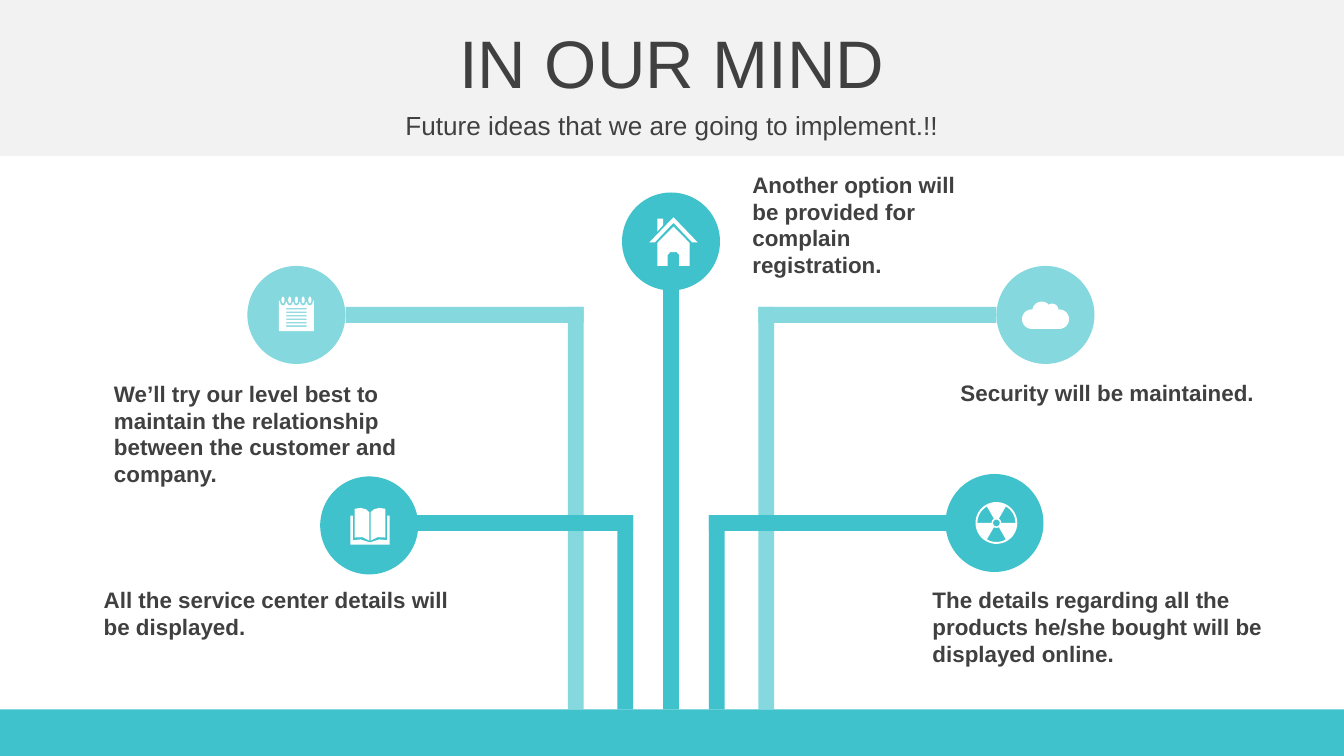
from dataclasses import dataclass
from math import cos, radians, sin

from pptx import Presentation
from pptx import util as u
from pptx.dml.color import RGBColor
from pptx.enum import shapes, text

Pt = u.Pt


@dataclass(frozen=True)
class Theme:
    font: str = "Arial"
    ink: str = "404040"
    header: str = "F2F2F2"
    teal: str = "3FC2CB"
    pale: str = "85D8DE"
    white: str = "FFFFFF"
    title: float = 36
    subtitle: float = 14
    body: float = 12


def arc(cx, cy, r, start, end, ry=None):
    steps = max(6, abs(end - start) // 8)
    angles = [radians(start + (end - start) * i / steps) for i in range(steps + 1)]
    return [(cx + r * cos(a), cy + (ry or r) * sin(a)) for a in angles]


def box(x, y, w, h):
    return [(x, y), (x + w, y), (x + w, y + h), (x, y + h)]


def mirror(points):
    return [(-x, y) for x, y in points]


class Deck:
    def __init__(self, prs, theme):
        self.t = theme
        self.s = prs.slides.add_slide(prs.slide_layouts[6])

    def paint(self, sp, color):
        sp.shadow.inherit = False
        sp.fill.solid()
        sp.fill.fore_color.rgb = RGBColor.from_string(color)
        sp.line.fill.background()

    def shape(self, kind, x, y, w, h, color, parent=None):
        sp = (parent or self.s).shapes.add_shape(kind, Pt(x), Pt(y), Pt(w), Pt(h))
        self.paint(sp, color)

    def rect(self, *args):
        self.shape(shapes.MSO_SHAPE.RECTANGLE, *args)

    def disc(self, cx, cy, color, parent):
        d = 52.5
        self.shape(shapes.MSO_SHAPE.OVAL, cx - d / 2, cy - d / 2, d, d, color, parent)

    def label(self, x, y, w, h, words, size, bold=False, align="LEFT", before=0):
        tf = self.s.shapes.add_textbox(Pt(x), Pt(y), Pt(w), Pt(h)).text_frame
        p = tf.paragraphs[0]
        r = p.add_run()
        r.text = words
        r.font.color.rgb = RGBColor.from_string(self.t.ink)
        formats = {
            tf: {"word_wrap": True, "vertical_anchor": text.MSO_ANCHOR.MIDDLE},
            p: {"alignment": text.PP_ALIGN[align], "space_before": Pt(before)},
            r.font: {"name": self.t.font, "size": Pt(size), "bold": bold},
        }
        for target, values in formats.items():
            for key, value in values.items():
                setattr(target, key, value)

    def branch(self, side, offset, arm_y, cx, cy, color):
        grp = self.s.shapes.add_group_shape()
        stem = AXIS + side * offset
        near = stem - side * BAR / 2
        far = near + side * ARM
        top = arm_y - BAR / 2
        self.rect(stem - BAR / 2, top, BAR, GROUND - top, color, grp)
        self.rect(min(near, far), top, ARM, BAR, color, grp)
        self.disc(cx, cy, color, grp)

    def trunk(self, cy, color):
        grp = self.s.shapes.add_group_shape()
        self.rect(AXIS - BAR / 2, cy, BAR, GROUND - cy, color, grp)
        self.disc(AXIS, cy, color, grp)

    def icon(self, cx, cy, contours):
        fb = None
        for contour in contours:
            pts = [(Pt(cx + x), Pt(cy + y)) for x, y in contour]
            if fb is None:
                fb = self.s.shapes.build_freeform(*pts[0])
            else:
                fb.move_to(*pts[0])
            fb.add_line_segments(pts[1:], close=True)
        self.paint(fb.convert_to_shape(), self.t.white)


W, H = 720, 405
AXIS, GROUND, BAR, ARM = 359.5, 380, 8.5, 127.5

page = [(-8.2, -9.2), (-5, -9.7), (-2, -8.9), (-0.3, -7.3),
        (-0.3, 7.9), (-4, 6), (-8.2, 6.2)]
cover = [(0, 8.8), (-5, 7.2), (-9.2, 7.6), (-9.2, -5.5), (-10.5, -5.5), (-10.5, 10)]
book = [page, mirror(page), cover + mirror(cover)[::-1]]

cloud = [arc(-7.4, 2.1, 5.2, 90, 270) + arc(-2, -2.2, 5.1, 185, 315)
         + arc(3.6, -2.9, 3.3, 230, 360) + arc(7.4, 2.1, 5.2, 270, 450)]

rings = [3.6 * i for i in range(-2, 3)]
notches = [pt for x in rings for pt in arc(x, -6.2, 1.5, 180, 0, 1.8)]
notepad = [[(-9.4, -7.2)] + [(x, y) for x, y in notches] + [(9.4, -7.2), (9.4, 9.4), (-9.4, 9.4)]]
notepad += [box(-5.5, -2.9 + 1.85 * i, 11, 0.7) for i in range(6)]
notepad += [arc(x, -7.3, 0.8, 0, 360, 1.8) for x in rings]

radiation = [arc(0, 0, 11.2, 0, 360), arc(0, 0, 1.8, 0, 360)]
radiation += [arc(0, 0, 10.2, a, a + 60) + arc(0, 0, 2.6, a + 60, a)
              for a in (60, 180, 300)]

house = [
    [(0, -8), (8.6, 0.7), (8.6, 13), (3.1, 13), (3.1, 7.2), (1.7, 5.7),
     (-1.7, 5.7), (-3.1, 7.2), (-3.1, 13), (-8.6, 13), (-8.6, 0.7)],
    [(-8.6, -12.2), (-5.6, -12.2), (-5.6, -8.8), (-8.6, -5.4)],
    [(0, -13), (13, 0.5), (10, 0.5), (0, -10), (-10, 0.5), (-13, 0.5)],
]

prs = Presentation()
prs.slide_width, prs.slide_height = Pt(W), Pt(H)
t = Theme()
deck = Deck(prs, t)

deck.rect(0, 0, W, 83.5, t.header)
deck.label(0, 10, W, 45.5, "IN OUR MIND", t.title, align="CENTER", before=7.2)
deck.label(0, 55.5, W, 22.5, "Future ideas that we are going to implement.!!",
           t.subtitle, align="CENTER", before=2.8)

for side, offset, arm_y, cx, cy, color in [
    (-1, 51, 168.75, 158.8, 168.75, t.pale),
    (1, 51, 168.75, 560.1, 168.75, t.pale),
    (1, 24.5, 280.2, 532.8, 280.2, t.teal),
    (-1, 24.5, 280.2, 197.8, 281.5, t.teal),
]:
    deck.branch(side, offset, arm_y, cx, cy, color)
deck.trunk(129.4, t.teal)
deck.rect(0, GROUND, W, H - GROUND, t.teal)

for cx, cy, contours in [
    (198.2, 281.8, book),
    (560.1, 168.9, cloud),
    (158.8, 168, notepad),
    (533.8, 280.2, radiation),
    (360.8, 129.4, house),
]:
    deck.icon(cx, cy, contours)

for x, y, w, h, words in [
    (54, 199.5, 202.5, 65.5, "We\u2019ll try our level best to maintain the relationship "
                             "between the customer and company."),
    (48.5, 310.5, 202.5, 36, "All the service center details will be displayed."),
    (492.5, 310.5, 202.5, 50.5, "The details regarding all the products he/she bought "
                                "will be displayed online."),
    (507.5, 199.5, 202.5, 21.5, "Security will be maintained."),
    (396, 87.5, 139, 65.5, "Another option will be provided for complain registration."),
]:
    deck.label(x, y, w, h, words, t.body, bold=True)

prs.save("out.pptx")
